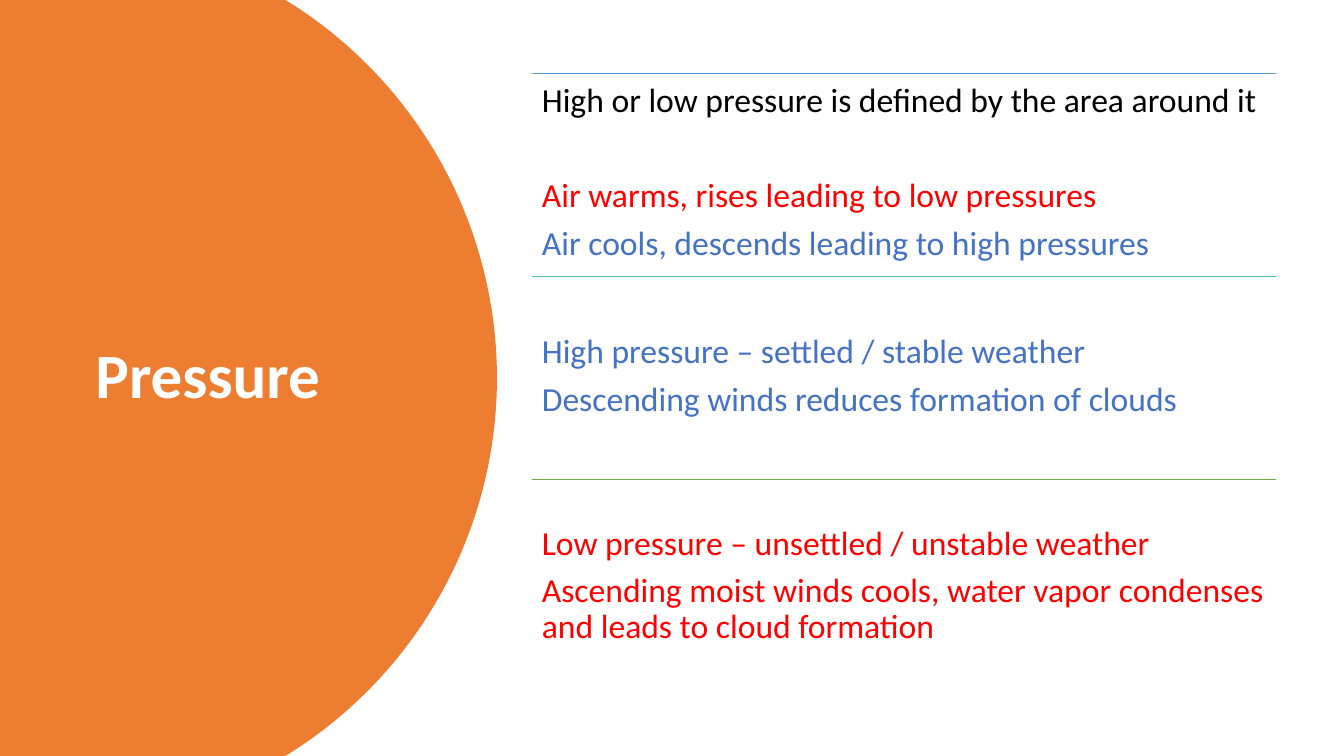
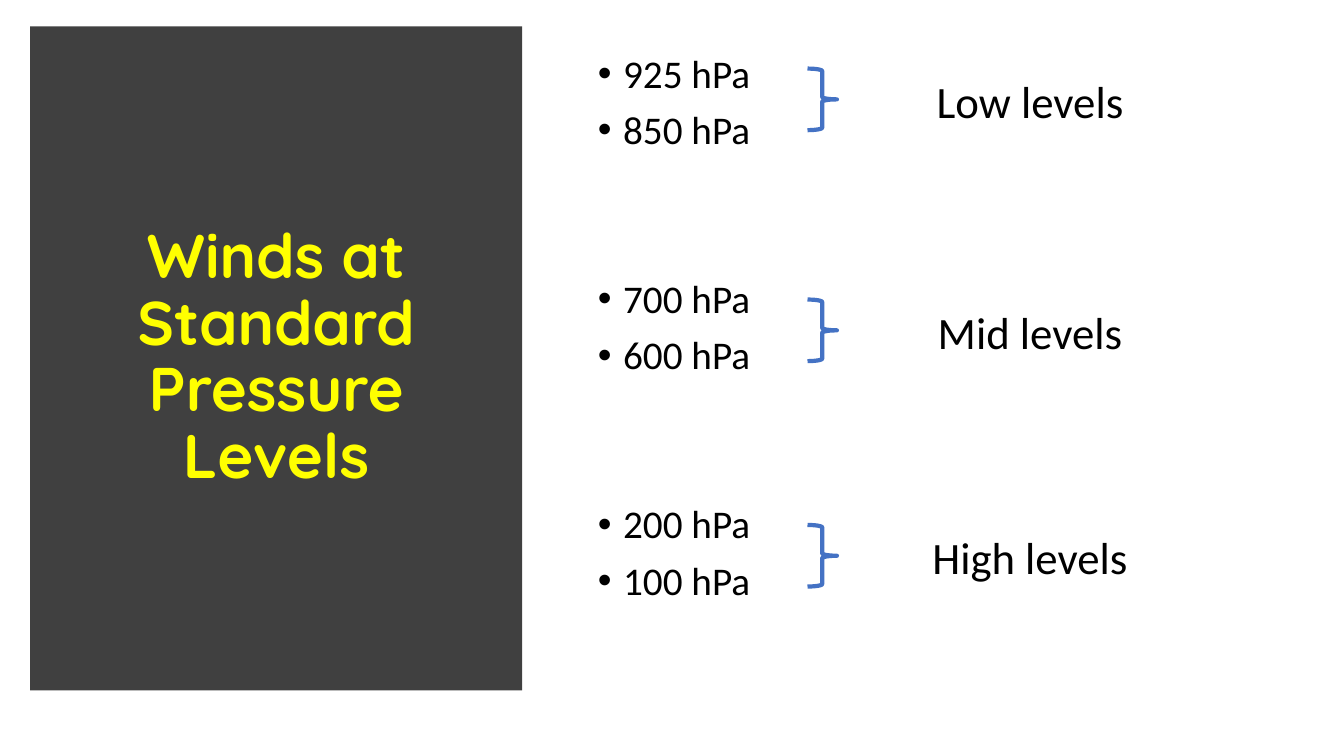
from math import asin, cos, sin

from lxml.etree import SubElement
from pptx import Presentation
from pptx.dml.color import RGBColor
from pptx.enum.shapes import MSO_CONNECTOR, MSO_SHAPE
from pptx.enum.text import MSO_ANCHOR, MSO_AUTO_SIZE, PP_ALIGN
from pptx.oxml.ns import qn
from pptx.util import Pt

WIDE, HIGH = 960, 540
FACE = "Calibri"
BLACK, WHITE, RED, BLUE = "000000", "FFFFFF", "FF0000", "4472C4"
ORANGE, GREY, YELLOW = "ED7D31", "404040", "FFFF00"

SECTIONS = [
    ("5B9BD5", 0, [
        ("High or low pressure is defined by the area around it", BLACK, 0),
        ("Air warms, rises leading to low pressures", RED, 42),
        ("Air cools, descends leading to high pressures", BLUE, 8)]),
    ("4DC58D", 34.4, [
        ("High pressure – settled / stable weather", BLUE, 0),
        ("Descending winds reduces formation of clouds", BLUE, 8)]),
    ("70AD47", 26.2, [
        ("Low pressure – unsettled / unstable weather", RED, 0),
        ("Ascending moist winds cools, water vapor condenses "
         "and leads to cloud formation", RED, 8)]),
]

LEVELS = [
    ("Low levels", ["925 hPa", "850 hPa"], 49),
    ("Mid levels", ["700 hPa", "600 hPa"], 214),
    ("High levels", ["200 hPa", "100 hPa"], 375),
]


def rgb(code):
    return RGBColor.from_string(code)


def paint(shape, code):
    shape.shadow.inherit = False
    shape.fill.solid()
    shape.fill.fore_color.rgb = rgb(code)
    shape.line.fill.background()


def write(para, text, size, code, face=FACE, bold=False):
    run = para.add_run()
    run.text = text
    font = run.font
    font.size, font.name, font.bold = Pt(size), face, bold
    font.color.rgb = rgb(code)


def head(slide, panel, text, box, size, code, face, align):
    title = slide.shapes.title
    title.left, title.top, title.width, title.height = map(Pt, box)
    frame = title.text_frame
    frame.word_wrap, frame.auto_size = True, MSO_AUTO_SIZE.NONE
    frame.vertical_anchor = MSO_ANCHOR.MIDDLE
    para = frame.paragraphs[0]
    para.alignment, para.line_spacing = align, 0.9
    write(para, text, size, code, face, True)
    title.element.addprevious(panel.element)


def area(slide, box, lines, size, pad=3.6, space=None, align=PP_ALIGN.LEFT,
         dots=False):
    frame = slide.shapes.add_textbox(*map(Pt, box)).text_frame
    frame.word_wrap = True
    frame.margin_top = frame.margin_bottom = Pt(pad)
    for i, (text, code, gap) in enumerate(lines):
        para = frame.add_paragraph() if i else frame.paragraphs[0]
        para.alignment = align
        if space:
            para.line_spacing = space
        para.space_before = Pt(gap)
        if dots:
            props = para._p.get_or_add_pPr()
            props.set("marL", str(Pt(18)))
            props.set("indent", str(Pt(-18)))
            SubElement(props, qn("a:buFont")).set("typeface", "Arial")
            SubElement(props, qn("a:buChar")).set("char", "•")
        write(para, text, size, code)


def rule(slide, left, right, top, code):
    line = slide.shapes.add_connector(
        MSO_CONNECTOR.STRAIGHT, Pt(left), Pt(top), Pt(right), Pt(top))
    line.line.color.rgb = rgb(code)
    line.line.width = Pt(1)
    SubElement(line.element.spPr, qn("a:effectLst"))


def dome(slide, edge, radius, steps=80):
    mid = HIGH / 2
    turn = asin(mid / radius)
    angles = [turn * (2 * i / steps - 1) for i in range(steps + 1)]
    arc = [(Pt(edge - radius + radius * cos(a)), Pt(mid + radius * sin(a)))
           for a in angles]
    form = slide.shapes.build_freeform(0, 0)
    form.add_line_segments(arc + [(0, Pt(HIGH))], close=True)
    shape = form.convert_to_shape()
    paint(shape, ORANGE)
    return shape


def pressure(slide):
    head(slide, dome(slide, 355, 316.8), "Pressure", (61, 118, 319, 304),
         45, WHITE, FACE, PP_ALIGN.LEFT)
    left, top, step, right = 380, 52.4, 145, 911.6
    for i, (code, drop, lines) in enumerate(SECTIONS):
        y = top + i * step
        rule(slide, left, right, y, code)
        area(slide, (left, y + drop, 534, step - drop), lines, 24, 7.2, 0.9)


def winds(slide):
    panel = slide.shapes.add_shape(
        MSO_SHAPE.RECTANGLE, *map(Pt, (21.6, 18.8, 351.4, 474.4)))
    paint(panel, GREY)
    head(slide, panel, "Winds at Standard Pressure Levels",
         (36.8, 49, 321, 414), 44, YELLOW, "Quicksand", PP_ALIGN.CENTER)
    for i, (name, values, top) in enumerate(LEVELS):
        lines = [(text, BLACK, 10 if k else 0)
                 for k, text in enumerate(values)]
        area(slide, (420, 35.2 + i * 161, 140, 80), lines, 28,
             space=0.9, dots=True)
        brace = slide.shapes.add_shape(
            MSO_SHAPE.RIGHT_BRACE, *map(Pt, (576.8, top, 21, 44)))
        brace.shadow.inherit = False
        brace.fill.background()
        brace.line.color.rgb = rgb(BLUE)
        brace.line.width = Pt(3)
        area(slide, (645.8, top, 180, 46), [(name, BLACK, 0)], 32,
             align=PP_ALIGN.CENTER)


def main():
    deck = Presentation()
    deck.slide_width, deck.slide_height = Pt(WIDE), Pt(HIGH)
    for build in (pressure, winds):
        build(deck.slides.add_slide(deck.slide_layouts[5]))
    deck.save("out.pptx")


if __name__ == "__main__":
    main()
